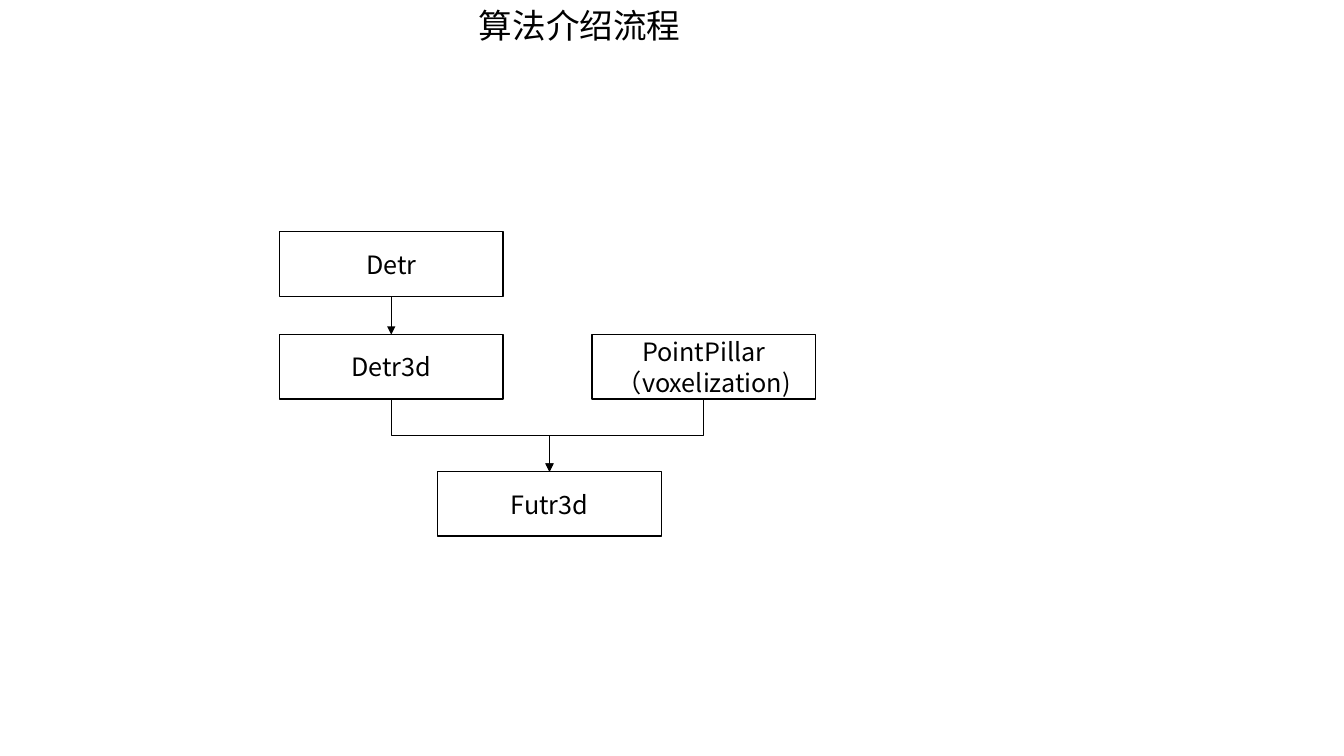
from lxml.etree import SubElement
from pptx import Presentation
from pptx.dml.color import RGBColor
from pptx.enum.shapes import MSO_CONNECTOR, MSO_SHAPE
from pptx.enum.text import MSO_ANCHOR, MSO_AUTO_SIZE, PP_ALIGN
from pptx.oxml.ns import qn
from pptx.util import Inches, Pt


def color(value):
    return RGBColor.from_string(value)


class FlowSlide:
    FONT = "Noto Sans CJK SC"
    INK = "000000"
    BOX_W, BOX_H = 2.22, 0.64

    def __init__(self, prs):
        self.s = prs.slides.add_slide(prs.slide_layouts[5])

    def set_text(self, tf, text, size, align):
        tf.text = text
        p = tf.paragraphs[0]
        p.alignment = align
        p.font.size = Pt(size)
        p.font.name = self.FONT
        p.font.color.rgb = color(self.INK)
        # East Asian typeface for the Chinese characters
        SubElement(p.font._element, qn("a:ea"), typeface=self.FONT)

    def title(self, text, x, y, w, h):
        sp = self.s.shapes.title
        sp.left, sp.top, sp.width, sp.height = map(Inches, (x, y, w, h))
        tf = sp.text_frame
        self.set_text(tf, text, 24, PP_ALIGN.LEFT)
        tf.word_wrap = False
        tf.auto_size = MSO_AUTO_SIZE.SHAPE_TO_FIT_TEXT
        tf.vertical_anchor = MSO_ANCHOR.TOP

    def box(self, text, x, y):
        sp = self.s.shapes.add_shape(
            MSO_SHAPE.RECTANGLE, Inches(x), Inches(y),
            Inches(self.BOX_W), Inches(self.BOX_H))
        sp.shadow.inherit = False
        sp.fill.background()
        sp.line.color.rgb = color(self.INK)
        sp.line.width = Pt(1)
        tf = sp.text_frame
        tf.word_wrap = True
        tf.vertical_anchor = MSO_ANCHOR.MIDDLE
        self.set_text(tf, text, 18, PP_ALIGN.CENTER)
        return sp

    def style_arrow(self, cxn):
        cxn.line.color.rgb = color(self.INK)
        cxn.line.width = Pt(0.5)
        SubElement(cxn.get_or_add_ln(), qn("a:tailEnd"), type="triangle")
        SubElement(cxn._element.spPr, qn("a:effectLst"))

    def arrow(self, upper, lower):
        cxn = self.s.shapes.add_connector(MSO_CONNECTOR.STRAIGHT, 0, 0, 0, 0)
        cxn.begin_connect(upper, 2)
        cxn.end_connect(lower, 0)
        self.style_arrow(cxn)

    def elbow(self, upper, lower):
        """Go down, across and down: an elbow turned a quarter about its centre."""
        x1, y1 = upper.left + upper.width // 2, upper.top + upper.height
        x2, y2 = lower.left + lower.width // 2, lower.top
        cx, cy = (x1 + x2) // 2, (y1 + y2) // 2
        half_run, half_drop = abs(x2 - x1) // 2, (y2 - y1) // 2
        side = 1 if x2 > x1 else -1
        cxn = self.s.shapes.add_connector(
            MSO_CONNECTOR.ELBOW,
            cx + side * half_drop, cy - half_run,
            cx - side * half_drop, cy + half_run)
        quarter_turns = 3 if side > 0 else 1
        cxn._element.spPr.xfrm.set("rot", str(quarter_turns * 90 * 60000))
        self.style_arrow(cxn)


def main():
    prs = Presentation()
    prs.slide_width, prs.slide_height = Inches(13.33), Inches(7.5)
    flow = FlowSlide(prs)

    # Title
    flow.title("算法介绍流程", 4.65, 0, 2.22, 0.5)

    # Algorithms
    pillar = flow.box("PointPillar（voxelization)", 5.87, 3.32)
    detr3d = flow.box("Detr3d", 2.77, 3.32)
    detr = flow.box("Detr", 2.77, 2.3)
    futr3d = flow.box("Futr3d", 4.34, 4.68)

    # Arrows
    for source in (detr3d, pillar):
        flow.elbow(source, futr3d)
    flow.arrow(detr, detr3d)

    prs.save("out.pptx")


if __name__ == "__main__":
    main()
